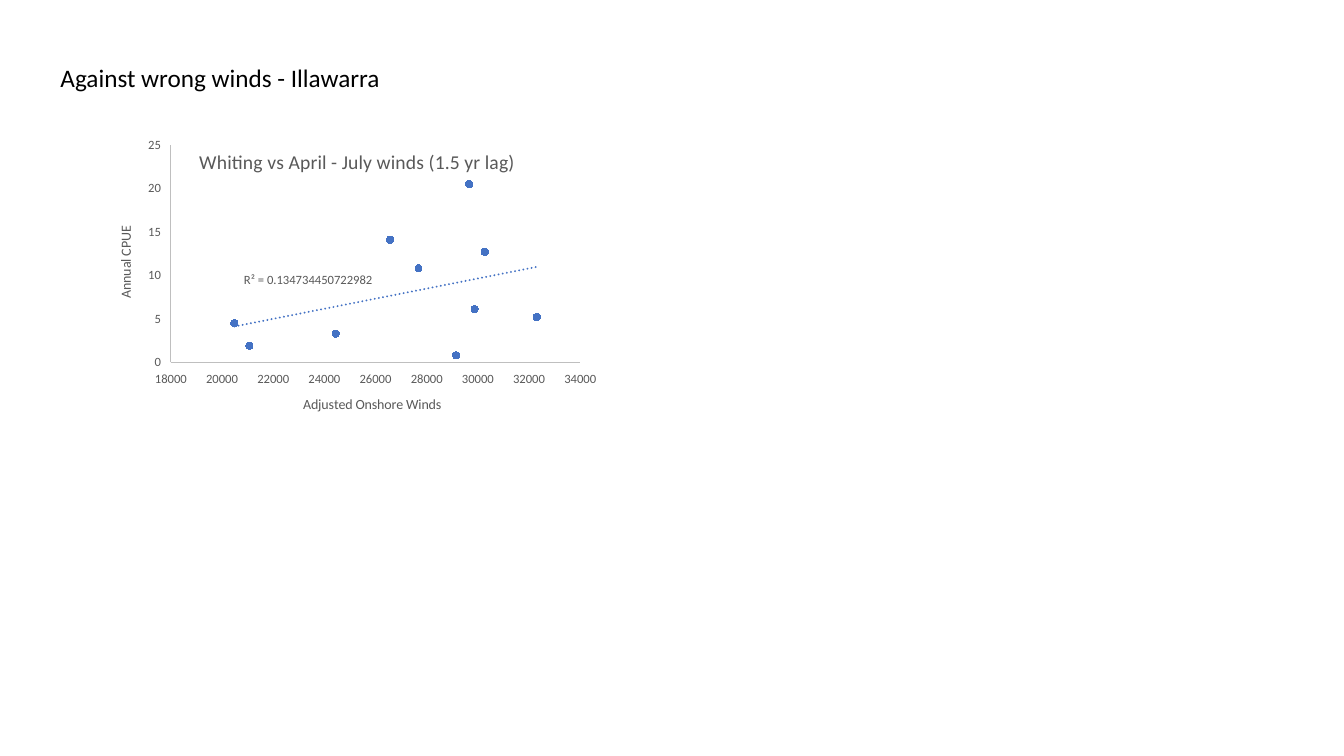
from dataclasses import dataclass
from typing import Any, NamedTuple

from lxml import etree
from pptx import Presentation
from pptx.chart.chart import Chart
from pptx.chart.data import XyChartData
from pptx.dml.color import RGBColor
from pptx.enum.chart import XL_CHART_TYPE, XL_MARKER_STYLE, XL_TICK_LABEL_POSITION, XL_TICK_MARK
from pptx.enum.text import MSO_ANCHOR, MSO_AUTO_SIZE, PP_ALIGN
from pptx.oxml import parse_xml
from pptx.oxml.ns import nsdecls, qn
from pptx.slide import Slide
from pptx.util import Inches, Pt

SCATTER = XL_CHART_TYPE.XY_SCATTER
CIRCLE = XL_MARKER_STYLE.CIRCLE
NO_TICK = XL_TICK_MARK.NONE
LABELS_LOW = XL_TICK_LABEL_POSITION.LOW
TOP = MSO_ANCHOR.TOP
LEFT = PP_ALIGN.LEFT
FIT_SHAPE = MSO_AUTO_SIZE.SHAPE_TO_FIT_TEXT


@dataclass(frozen=True)
class Theme:
    font: str = "Calibri"
    ink: str = "000000"
    muted: str = "595959"
    axis: str = "BFBFBF"
    accent: str = "4472C4"
    heading: int = 18
    chart_title: int = 14
    axis_title: int = 10
    label: int = 9


class Point(NamedTuple):
    wind: int
    catch: float


class AxisStyle(NamedTuple):
    title: str
    minimum: int
    maximum: int
    step: int


THEME = Theme()
POINTS = [
    Point(29150, 0.8), Point(21070, 1.9), Point(24440, 3.3), Point(32300, 5.2),
    Point(26570, 14.1), Point(30270, 12.7), Point(27680, 10.8), Point(29870, 6.1),
    Point(20480, 4.5), Point(29660, 20.5),
]
WIND_AXIS = AxisStyle("Adjusted Onshore Winds", 18000, 34000, 2000)
CATCH_AXIS = AxisStyle("Annual CPUE", 0, 25, 5)


def apply(target: Any, values: dict[str, Any]) -> None:
    for name, value in values.items():
        setattr(target, name, value)


def style_font(font: Any, size: int, color: str) -> None:
    apply(font, {"name": THEME.font, "size": Pt(size), "bold": False})
    font.color.rgb = RGBColor.from_string(color)


def write_text(frame: Any, text: str, size: int, color: str) -> None:
    frame.text = text
    style_font(frame.paragraphs[0].runs[0].font, size, color)


def manual_layout(**values: Any) -> etree._Element:
    parts = "".join(f'<c:{name} val="{value}"/>' for name, value in values.items())
    return parse_xml(
        f'<c:layout {nsdecls("c")}><c:manualLayout>{parts}</c:manualLayout></c:layout>'
    )


def add_heading(page: Slide, text: str) -> None:
    box = page.shapes.title
    apply(box, {"left": Inches(0.5), "top": Inches(0.57),
                "width": Inches(3.4), "height": Inches(0.4)})
    write_text(box.text_frame, text, THEME.heading, THEME.ink)
    apply(box.text_frame, {"word_wrap": False, "auto_size": FIT_SHAPE,
                           "vertical_anchor": TOP})
    apply(box.text_frame.paragraphs[0], {"alignment": LEFT, "line_spacing": 1.0})


def style_axis(axis: Any, style: AxisStyle) -> None:
    apply(axis, {
        "minimum_scale": style.minimum, "maximum_scale": style.maximum,
        "major_unit": style.step, "has_major_gridlines": False,
        "major_tick_mark": NO_TICK, "minor_tick_mark": NO_TICK,
        "tick_label_position": LABELS_LOW, "has_title": True,
    })
    apply(axis.tick_labels, {"number_format": "General", "number_format_is_linked": False})
    style_font(axis.tick_labels.font, THEME.label, THEME.muted)
    axis.format.line.color.rgb = RGBColor.from_string(THEME.axis)
    axis.format.line.width = Pt(0.75)
    write_text(axis.axis_title.text_frame, style.title, THEME.axis_title, THEME.muted)


def style_chart_title(chart: Chart, text: str) -> None:
    chart.has_title = True
    write_text(chart.chart_title.text_frame, text, THEME.chart_title, THEME.muted)
    title = chart.chart_title._element
    for tag in ("c:layout", "c:overlay"):
        for node in title.findall(qn(tag)):
            title.remove(node)
    overlay = parse_xml(f'<c:overlay {nsdecls("c")} val="1"/>')
    title.find(qn("c:tx")).addnext(overlay)
    overlay.addprevious(manual_layout(xMode="edge", yMode="edge", x=0.18, y=0.05))


def place_plot(chart: Chart) -> None:
    area = chart._chartSpace.chart.plotArea
    for node in area.findall(qn("c:layout")):
        area.remove(node)
    area.insert(0, manual_layout(layoutTarget="inner", xMode="edge", yMode="edge",
                                 x=0.131, y=0.051, w=0.812, h=0.744))


def add_trend(series: Any) -> None:
    trend = parse_xml(
        f'<c:trendline {nsdecls("c", "a")}>'
        f'<c:spPr><a:ln w="{Pt(1.5)}" cap="rnd"><a:solidFill><a:srgbClr val="{THEME.accent}"/>'
        '</a:solidFill><a:prstDash val="sysDot"/></a:ln></c:spPr>'
        '<c:trendlineType val="linear"/><c:dispRSqr val="0"/><c:dispEq val="0"/>'
        '</c:trendline>'
    )
    series._element.find(qn("c:xVal")).addprevious(trend)


def add_scatter(page: Slide) -> None:
    data = XyChartData()
    whiting = data.add_series("Series 1")
    for point in POINTS:
        whiting.add_data_point(point.wind, point.catch)
    chart = page.shapes.add_chart(
        SCATTER, Inches(1.04), Inches(1.29), Inches(5), Inches(2.9), data
    ).chart
    chart.has_legend = False
    style_font(chart.font, THEME.axis_title, THEME.ink)
    style_chart_title(chart, "Whiting vs April - July winds (1.5 yr lag)")
    style_axis(chart.category_axis, WIND_AXIS)
    style_axis(chart.value_axis, CATCH_AXIS)
    place_plot(chart)
    chart.plots[0].vary_by_categories = False
    series = chart.plots[0].series[0]
    series.format.line.fill.background()
    apply(series.marker, {"style": CIRCLE, "size": 5})
    for paint in (series.marker.format.fill, series.marker.format.line.fill):
        paint.solid()
        paint.fore_color.rgb = RGBColor.from_string(THEME.accent)
    add_trend(series)


def add_fit_label(page: Slide, text: str) -> None:
    box = page.shapes.add_textbox(Inches(2.42), Inches(2.7), Inches(1.3), Inches(0.15))
    write_text(box.text_frame, text, THEME.label, THEME.muted)
    apply(box.text_frame, {"word_wrap": False, "vertical_anchor": TOP, "margin_left": 0,
                           "margin_right": 0, "margin_top": 0, "margin_bottom": 0})


def main() -> None:
    deck = Presentation()
    apply(deck, {"slide_width": Inches(13.33), "slide_height": Inches(7.5)})
    page = deck.slides.add_slide(deck.slide_layouts.get_by_name("Title Only"))
    add_heading(page, "Against wrong winds - Illawarra")
    add_scatter(page)
    add_fit_label(page, "R² = 0.134734450722982")
    deck.save("out.pptx")


if __name__ == "__main__":
    main()
